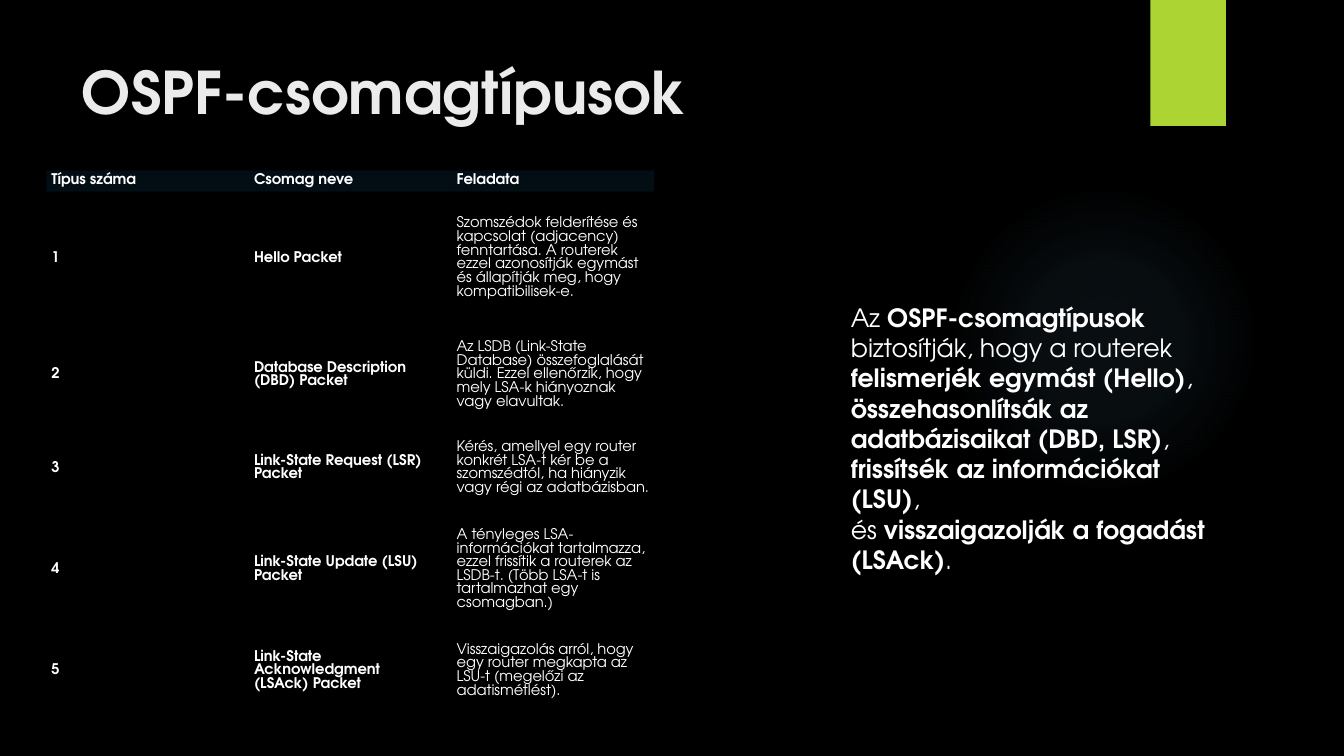
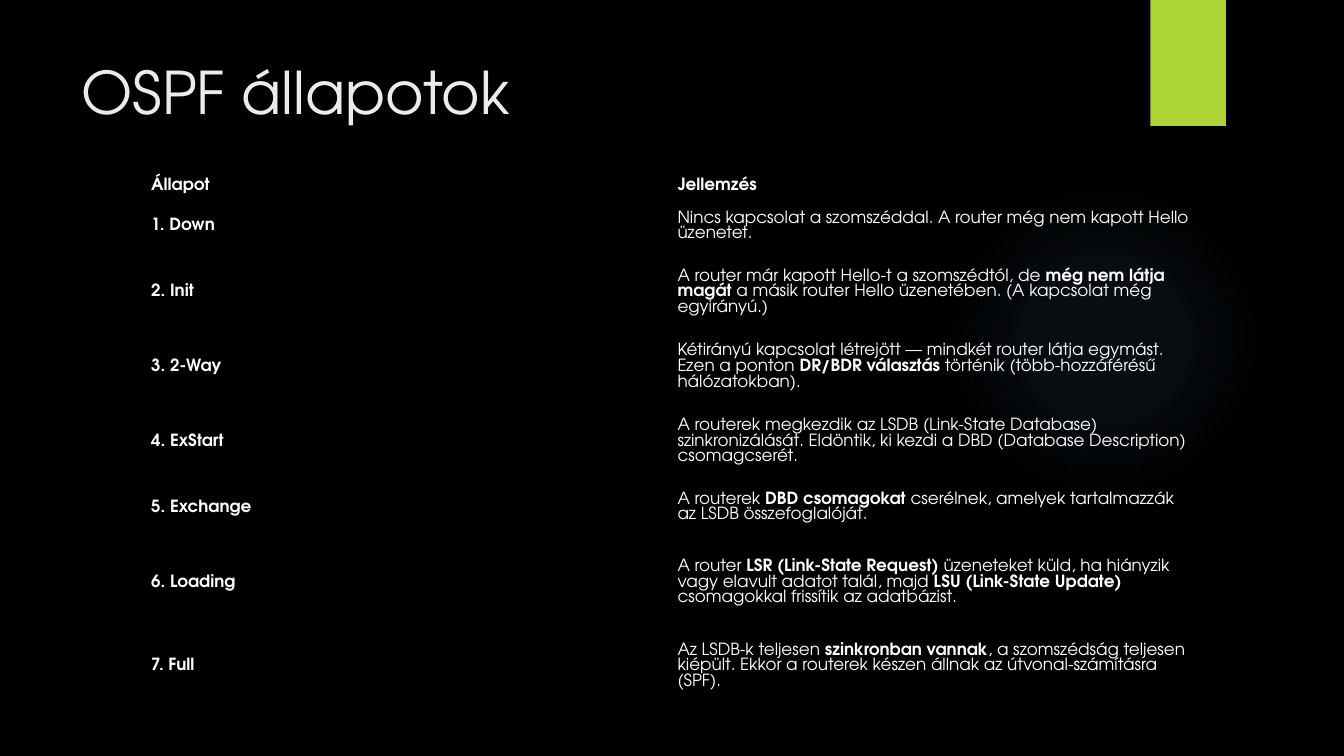
from lxml import etree
from pptx import Presentation
from pptx.dml.color import RGBColor
from pptx.enum.shapes import MSO_SHAPE
from pptx.enum.text import MSO_ANCHOR, PP_ALIGN
from pptx.oxml import parse_xml
from pptx.oxml.ns import nsdecls, qn
from pptx.util import Inches, Pt

FONT = "TeX Gyre Adventor"
COLORS = {"back": "000000", "title": "EBEBEB", "text": "FFFFFF",
          "band": "ACD433", "glow": "7AC4F0", "header": "0E5580"}
NO_STYLE = "{2D5ABB26-0587-4C30-8999-92F81FD0307C}"
CELL = {"margin_left": Inches(0.05), "margin_right": Inches(0.05),
        "margin_top": Inches(0.02), "margin_bottom": Inches(0.02),
        "vertical_anchor": MSO_ANCHOR.MIDDLE}

PACKETS = [
    ("Típus száma", "Csomag neve", "Feladata"),
    ("1", "Hello Packet",
     "Szomszédok felderítése és kapcsolat (adjacency) fenntartása. A routerek ezzel "
     "azonosítják egymást és állapítják meg, hogy kompatibilisek-e."),
    ("2", "Database Description (DBD) Packet",
     "Az LSDB (Link-State Database) összefoglalását küldi. Ezzel ellenőrzik, hogy "
     "mely LSA-k hiányoznak vagy elavultak."),
    ("3", "Link-State Request (LSR) Packet",
     "Kérés, amellyel egy router konkrét LSA-t kér be a szomszédtól, ha hiányzik "
     "vagy régi az adatbázisban."),
    ("4", "Link-State Update (LSU) Packet",
     "A tényleges LSA-információkat tartalmazza, ezzel frissítik a routerek az "
     "LSDB-t. (Több LSA-t is tartalmazhat egy csomagban.)"),
    ("5", "Link-State Acknowledgment\n(LSAck) Packet",
     "Visszaigazolás arról, hogy egy router megkapta az LSU-t (megelőzi az "
     "adatismétlést)."),
]
SUMMARY = ("Az **OSPF-csomagtípusok** biztosítják, hogy a routerek **felismerjék egymást "
           "(Hello)**, **összehasonlítsák az adatbázisaikat (DBD, LSR)**, **frissítsék az "
           "információkat (LSU)**,\nés **visszaigazolják a fogadást (LSAck)**.")
STATES = [
    ("Állapot", "Jellemzés"),
    ("1. Down", "Nincs kapcsolat a szomszéddal. A router még nem kapott Hello üzenetet."),
    ("2. Init", "A router már kapott Hello-t a szomszédtól, de **még nem látja magát** a "
                "másik router Hello üzenetében. (A kapcsolat még egyirányú.)"),
    ("3. 2-Way", "Kétirányú kapcsolat létrejött — mindkét router látja egymást. Ezen a "
                 "ponton **DR/BDR választás** történik (több-hozzáférésű hálózatokban)."),
    ("4. ExStart", "A routerek megkezdik az LSDB (Link-State Database) szinkronizálását. "
                   "Eldöntik, ki kezdi a DBD (Database Description) csomagcserét."),
    ("5. Exchange", "A routerek **DBD csomagokat** cserélnek, amelyek tartalmazzák az LSDB "
                    "összefoglalóját."),
    ("6. Loading", "A router **LSR (Link-State Request)** üzeneteket küld, ha hiányzik vagy "
                   "elavult adatot talál, majd **LSU (Link-State Update)** csomagokkal "
                   "frissítik az adatbázist."),
    ("7. Full", "Az LSDB-k teljesen **szinkronban vannak**, a szomszédság teljesen kiépült. "
                "Ekkor a routerek készen állnak az útvonal-számításra (SPF)."),
]


def rgb(name):
    return RGBColor.from_string(COLORS[name])


def inches(*box):
    return [Inches(v) for v in box]


def write(tf, text, size, color="text", bold=False):
    """Fill a text frame; newlines part paragraphs and ** switches the weight."""
    for i, line in enumerate(text.split("\n")):
        p = tf.add_paragraph() if i else tf.paragraphs[0]
        p.alignment = PP_ALIGN.LEFT
        for j, part in enumerate(line.split("**")):
            if not part:
                continue
            r = p.add_run()
            r.text = part
            style = {"name": FONT, "size": Pt(size), "bold": bold != (j % 2 == 1)}
            for key, value in style.items():
                setattr(r.font, key, value)
            r.font.color.rgb = rgb(color)


def add_plain_shape(slide, kind, box):
    sp = slide.shapes.add_shape(kind, *inches(*box))
    sp.shadow.inherit = False
    sp.line.fill.background()
    sp.fill.solid()
    return sp


def add_glow(slide, box):
    sp = add_plain_shape(slide, MSO_SHAPE.OVAL, box)
    stops = "".join(
        f'<a:gs pos="{pos * 1000}"><a:srgbClr val="{COLORS["glow"]}">'
        f'<a:alpha val="{alpha * 1000}"/></a:srgbClr></a:gs>'
        for pos, alpha in [(0, 7), (36, 6), (69, 0), (100, 0)])
    grad = parse_xml(
        f'<a:gradFill {nsdecls("a")} rotWithShape="1"><a:gsLst>{stops}</a:gsLst>'
        '<a:path path="circle"><a:fillToRect l="50000" t="50000" r="50000" b="50000"/>'
        '</a:path></a:gradFill>')
    solid = sp.element.spPr.find(qn("a:solidFill"))
    solid.getparent().replace(solid, grad)


def add_base_slide(prs, title, bold=False):
    s = prs.slides.add_slide(prs.slide_layouts[5])
    add_glow(s, (9.41, 1.83, 3.08, 3.08))
    band = add_plain_shape(s, MSO_SHAPE.RECTANGLE, (11.41, 0, 0.75, 1.25))
    band.fill.fore_color.rgb = rgb("band")
    sp = s.shapes.title
    sp.left, sp.top, sp.width, sp.height = inches(0.71, 0.5, 10.29, 1.53)
    sp.text_frame.vertical_anchor = MSO_ANCHOR.TOP
    write(sp.text_frame, title, 42, "title", bold)
    return s


def add_grid(slide, box, rows, heights, size, header_alpha=None):
    """Table with equal columns; all text is bold except the last column's body."""
    cols = len(rows[0])
    table = slide.shapes.add_table(len(rows), cols, *inches(*box)).table
    table.horz_banding = False
    table._tbl.tblPr.find(qn("a:tableStyleId")).text = NO_STYLE
    for row, height in zip(table.rows, heights):
        row.height = Inches(height)
    for i, texts in enumerate(rows):
        for j, text in enumerate(texts):
            cell = table.cell(i, j)
            for key, value in CELL.items():
                setattr(cell, key, value)
            write(cell.text_frame, text, size, bold=i == 0 or j < cols - 1)
            if i == 0 and header_alpha:
                cell.fill.solid()
                cell.fill.fore_color.rgb = rgb("header")
                color = cell.fill._xPr.find(".//" + qn("a:srgbClr"))
                etree.SubElement(color, qn("a:alpha")).set("val", str(header_alpha * 1000))
            else:
                cell.fill.background()


def add_packet_slide(prs):
    s = add_base_slide(prs, "OSPF-csomagtípusok", bold=True)
    add_grid(s, (0.46, 1.69, 6.03, 5.39), PACKETS,
             [0.21, 1.32, 1, 0.85, 1.16, 0.85], 10.5, header_alpha=16)
    tf = s.shapes.add_textbox(*inches(8.34, 2.95, 3.72, 2.83)).text_frame
    tf.word_wrap = True
    write(tf, SUMMARY, 18)


def add_state_slide(prs):
    s = add_base_slide(prs, "OSPF állapotok")
    add_grid(s, (1.45, 1.72, 10.44, 5.26), STATES,
             [0.24, 0.57, 0.74, 0.74, 0.74, 0.57, 0.92, 0.74], 12)


def main():
    prs = Presentation()
    prs.slide_width, prs.slide_height = inches(13.33, 7.5)
    fill = prs.slide_master.background.fill
    fill.solid()
    fill.fore_color.rgb = rgb("back")
    add_packet_slide(prs)
    add_state_slide(prs)
    prs.save("out.pptx")


if __name__ == "__main__":
    main()
